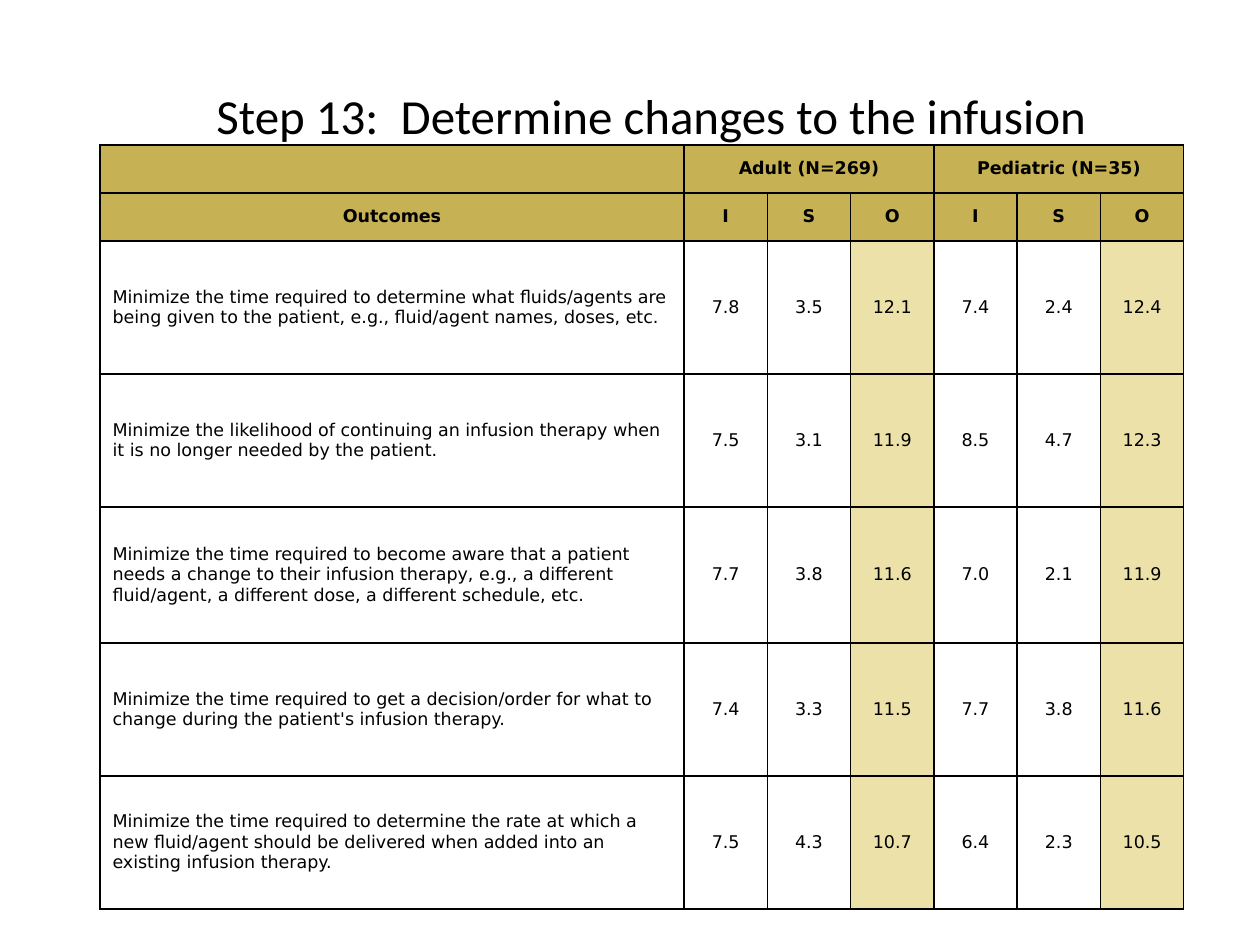
from dataclasses import dataclass

from lxml.etree import SubElement
from pptx import Presentation
from pptx.dml.color import RGBColor as Color
from pptx.enum.text import MSO_ANCHOR as Anchor, PP_ALIGN as Align
from pptx.oxml.ns import qn
from pptx.util import Pt

EMU_PER_PX = 914400 / 126


def px(length):
    return round(length * EMU_PER_PX)


@dataclass(frozen=True)
class Theme:
    ink: str = "000000"
    paper: str = "FFFFFF"
    header: str = "C6B154"
    highlight: str = "ECE2A9"
    title_font: str = "Calibri"
    table_font: str = "DejaVu Sans"
    title_size: int = 28
    table_size: int = 10
    border: int = 1


class SlideBuilder:
    """Adds themed titles and tables to one slide."""

    def __init__(self, slide, theme):
        self.slide = slide
        self.theme = theme

    def style(self, paragraph, font_name, size, align, bold=False):
        paragraph.alignment = align
        font = paragraph.font
        font.name, font.size, font.bold = font_name, Pt(size), bold
        font.color.rgb = Color.from_string(self.theme.ink)

    def title(self, text, left, top, width, height):
        shape = self.slide.shapes.add_textbox(*map(px, (left, top, width, height)))
        frame = shape.text_frame
        frame.word_wrap = True
        frame.vertical_anchor = Anchor.MIDDLE
        frame.text = text
        self.style(frame.paragraphs[0], self.theme.title_font, self.theme.title_size, Align.CENTER)

    def borders(self, cell):
        properties = cell._tc.get_or_add_tcPr()
        for side in ("lnL", "lnR", "lnT", "lnB"):
            line = SubElement(properties, qn(f"a:{side}"), w=str(Pt(self.theme.border)))
            fill = SubElement(line, qn("a:solidFill"))
            SubElement(fill, qn("a:srgbClr"), val=self.theme.ink)

    def cell(self, cell, text, fill, align, bold):
        self.borders(cell)
        cell.fill.solid()
        cell.fill.fore_color.rgb = Color.from_string(fill)
        cell.vertical_anchor = Anchor.MIDDLE
        cell.text = text
        self.style(cell.text_frame.paragraphs[0], self.theme.table_font,
                   self.theme.table_size, align, bold)

    def table(self, rows, left, top, widths, heights, header_rows, highlighted, merges):
        frame = self.slide.shapes.add_table(
            len(rows), len(widths), *map(px, (left, top, sum(widths), sum(heights))))
        table = frame.table
        table.first_row = table.horz_banding = False
        for column, width in zip(table.columns, widths):
            column.width = px(width)
        for row, height in zip(table.rows, heights):
            row.height = px(height)
        for row_index, values in enumerate(rows):
            is_header = row_index < header_rows
            for column_index, text in enumerate(values):
                if is_header:
                    fill = self.theme.header
                else:
                    fill = self.theme.highlight if column_index in highlighted else self.theme.paper
                align = Align.CENTER if is_header or column_index else Align.LEFT
                self.cell(table.cell(row_index, column_index), text, fill, align, is_header)
        for row_index, first, last in merges:
            table.cell(row_index, first).merge(table.cell(row_index, last))


HEADERS = [
    ["", "Adult (N=269)", "", "", "Pediatric (N=35)", "", ""],
    ["Outcomes", *["I", "S", "O"] * 2],
]
OUTCOMES = [
    ["Minimize the time required to determine what fluids/agents are being given to the patient, "
     "e.g., fluid/agent names, doses, etc.",
     "7.8", "3.5", "12.1", "7.4", "2.4", "12.4"],
    ["Minimize the likelihood of continuing an infusion therapy when it is no longer needed "
     "by the patient.",
     "7.5", "3.1", "11.9", "8.5", "4.7", "12.3"],
    ["Minimize the time required to become aware that a patient needs a change to their infusion "
     "therapy, e.g., a different fluid/agent, a different dose, a different schedule, etc.",
     "7.7", "3.8", "11.6", "7.0", "2.1", "11.9"],
    ["Minimize the time required to get a decision/order for what to change during the patient's "
     "infusion therapy.",
     "7.4", "3.3", "11.5", "7.7", "3.8", "11.6"],
    ["Minimize the time required to determine the rate at which a new fluid/agent should be "
     "delivered when added into an existing infusion therapy.",
     "7.5", "4.3", "10.7", "6.4", "2.3", "10.5"],
]


def main():
    presentation = Presentation()
    presentation.slide_width, presentation.slide_height = px(1260), px(945)
    slide = presentation.slides.add_slide(presentation.slide_layouts[6])
    builder = SlideBuilder(slide, Theme())
    builder.title("Step 13:  Determine changes to the infusion", 126, 73, 1050, 84)
    builder.table(
        HEADERS + OUTCOMES, 100, 145,
        widths=[584] + [500 / 6] * 6,
        heights=[48, 48, 133, 133, 136, 133, 133],
        header_rows=len(HEADERS),
        highlighted=(3, 6),
        merges=[(0, 1, 3), (0, 4, 6)],
    )
    presentation.save("out.pptx")


if __name__ == "__main__":
    main()
